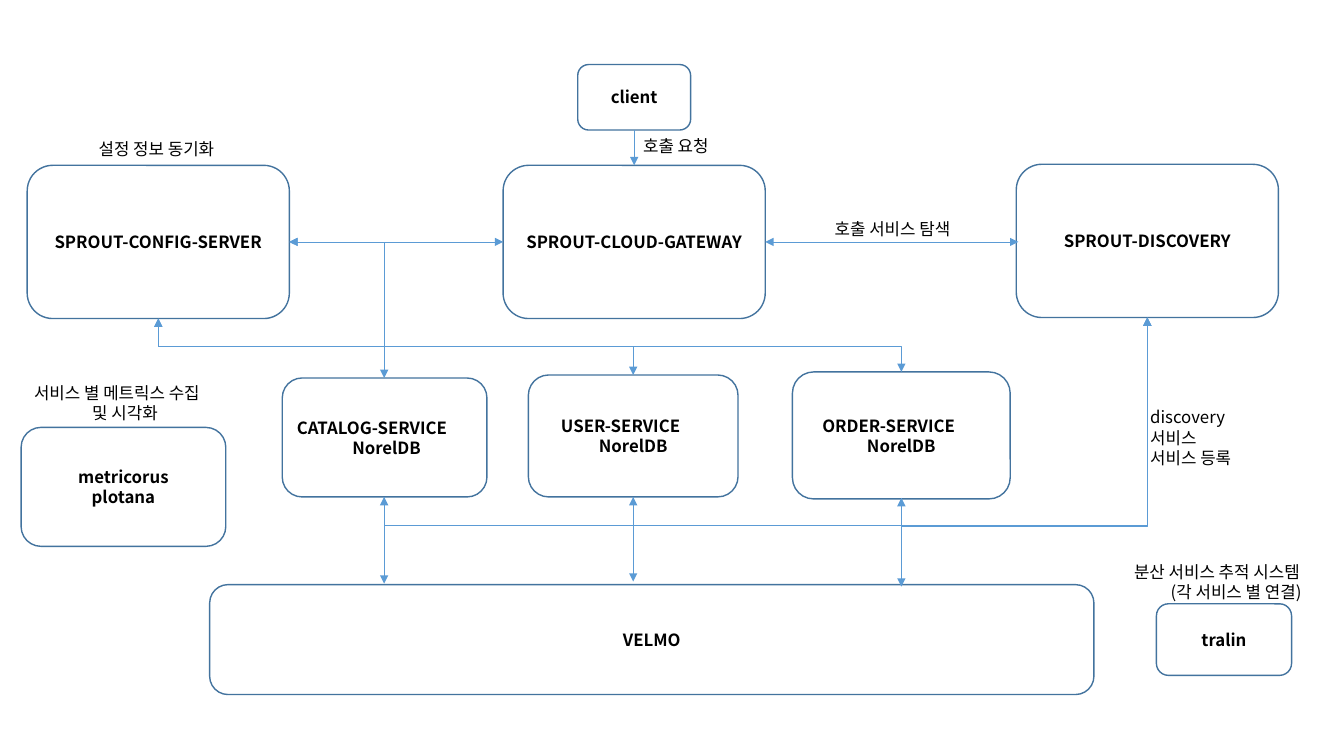
from lxml.etree import SubElement
from pptx import Presentation
from pptx.dml.color import RGBColor
from pptx.enum.shapes import MSO_CONNECTOR, MSO_SHAPE
from pptx.enum.text import MSO_ANCHOR, PP_ALIGN
from pptx.oxml.ns import qn
from pptx.util import Inches, Pt

COLORS = {"fill": "FFFFFF", "border": "43739E", "arrow": "5B9BD5", "text": "000000"}
FONT = "Noto Sans CJK KR"

presentation = Presentation()
presentation.slide_width = Inches(13.33)
presentation.slide_height = Inches(7.5)
slide = presentation.slides.add_slide(presentation.slide_layouts[6])


def write(shape, lines, bold=False, align=PP_ALIGN.LEFT, anchor=MSO_ANCHOR.TOP,
          insets=(0.1, 0.1), last_indent=0):
    """Fill a shape with one paragraph per line; last_indent moves the last line right."""
    frame = shape.text_frame
    frame.word_wrap = True
    frame.vertical_anchor = anchor
    frame.margin_left, frame.margin_right = map(Inches, insets)
    frame.margin_top = frame.margin_bottom = Inches(0.05)
    for number, line in enumerate(lines):
        paragraph = frame.add_paragraph() if number else frame.paragraphs[0]
        paragraph.alignment = align
        run = paragraph.add_run()
        run.text = line
        run.font.size = Pt(12)
        run.font.bold = bold
        run.font.name = FONT
        run.font.color.rgb = RGBColor.from_string(COLORS["text"])
        SubElement(run.font._element, qn("a:ea"), typeface=FONT)
    if last_indent:
        properties = paragraph._p.get_or_add_pPr()
        properties.set("marL", str(Inches(last_indent)))
        properties.set("indent", "0")


def connect(start, end, bend=None, corner=False, both=True):
    """Draw an arrow; bend is the height of the crossbar, corner turns once."""
    (x1, y1), (x2, y2) = start, end
    kind = MSO_CONNECTOR.ELBOW if corner or bend else MSO_CONNECTOR.STRAIGHT
    if bend:
        # The frame of a vertical elbow is a horizontal one turned by 90 degrees.
        middle_x, middle_y = (x1 + x2) / 2, (y1 + y2) / 2
        half_x, half_y = (x2 - x1) / 2, (y2 - y1) / 2
        ends = (middle_x - half_y, middle_y + half_x, middle_x + half_y, middle_y - half_x)
    else:
        ends = (x1, y1, x2, y2)
    connector = slide.shapes.add_connector(kind, *map(Inches, ends))
    properties = connector._element.spPr
    geometry = properties.find(qn("a:prstGeom"))
    if bend:
        properties.find(qn("a:xfrm")).set("rot", "5400000")
        ratio = round((bend - y1) / (y2 - y1) * 100000)
        SubElement(geometry.find(qn("a:avLst")), qn("a:gd"), name="adj1", fmla=f"val {ratio}")
    if corner:
        geometry.set("prst", "bentConnector2")
    connector.line.color.rgb = RGBColor.from_string(COLORS["arrow"])
    connector.line.width = Pt(0.5)
    line = properties.find(qn("a:ln"))
    if both:
        SubElement(line, qn("a:headEnd"), type="triangle")
    SubElement(line, qn("a:tailEnd"), type="triangle")
    SubElement(properties, qn("a:effectLst"))


# Boxes: lines, left, top, width, height, indent of the last line
boxes = [
    (["CATALOG-SERVICE", "NorelDB"], 2.8, 3.75, 2.03, 1.18, 0.29),
    (["USER-SERVICE", "NorelDB"], 5.24, 3.72, 2.08, 1.21, 0.25),
    (["ORDER-SERVICE", "NorelDB"], 7.86, 3.69, 2.16, 1.26, 0.25),
    (["SPROUT-CLOUD-GATEWAY"], 4.99, 1.64, 2.6, 1.52, 0),
    (["SPROUT-DISCOVERY"], 10.08, 1.63, 2.6, 1.52, 0),
    (["SPROUT-CONFIG-SERVER"], 0.27, 1.64, 2.6, 1.52, 0),
    (["client"], 5.73, 0.64, 1.12, 0.65, 0),
    (["VELMO"], 2.08, 5.8, 8.77, 1.09, 0),
    (["metricorus", "plotana"], 0.21, 4.24, 2.03, 1.18, 0),
    (["tralin"], 11.47, 5.99, 1.34, 0.71, 0),
]
for lines, left, top, width, height, indent in boxes:
    box = slide.shapes.add_shape(MSO_SHAPE.ROUNDED_RECTANGLE,
                                 *map(Inches, (left, top, width, height)))
    box.shadow.inherit = False
    box.fill.solid()
    box.fill.fore_color.rgb = RGBColor.from_string(COLORS["fill"])
    box.line.color.rgb = RGBColor.from_string(COLORS["border"])
    box.line.width = Pt(1)
    write(box, lines, bold=True, align=PP_ALIGN.CENTER, anchor=MSO_ANCHOR.MIDDLE,
          insets=(0, 0.25) if indent else (0.1, 0.1), last_indent=indent)

# Arrows between client, gateway, config server and discovery
config_bottom, discovery_bottom = (1.57, 3.16), (11.38, 3.15)
connect((6.29, 1.29), (6.29, 1.64), both=False)
connect((2.87, 2.4), (3.81, 3.75), corner=True)
connect((2.87, 2.4), (4.99, 2.4))
connect((7.59, 2.4), (10.1, 2.4))

# Arrows of each service: centre, top, bottom, top of message queue, discovery crossbar
services = [
    (3.81, 3.75, 4.93, 5.79, 5.21),
    (6.28, 3.72, 4.93, 5.77, 5.21),
    (8.94, 3.69, 4.94, 5.82, 5.22),
]
for center, top, bottom, queue_top, crossbar in services:
    connect((center, bottom), discovery_bottom, bend=crossbar, both=False)
    connect((center, bottom), (center, queue_top))
for center, top, *_ in services[1:]:
    connect(config_bottom, (center, top), bend=3.44)

# Labels: lines, left, top, width, height
labels = [
    (["discovery", "서비스", "서비스 등록"], 11.31, 3.99, 1.46, 0.71),
    (["설정 정보 동기화"], 0.88, 1.33, 1.5, 0.3),
    (["호출 서비스 탐색"], 8.18, 2.12, 2.01, 0.3),
    (["호출 요청"], 6.28, 1.3, 1.21, 0.3),
]
for lines, *bounds in labels:
    write(slide.shapes.add_textbox(*map(Inches, bounds)), lines)

# Centred captions above the monitoring boxes: lines, left, top, indent of the last line
captions = [
    (["서비스 별 메트릭스 수집", "및 시각화"], 0.23, 3.75, 0.16),
    (["분산 서비스 추적 시스템", "(각 서비스 별 연결)"], 11.14, 5.52, 0.38),
]
for lines, left, top, indent in captions:
    caption = slide.shapes.add_textbox(*map(Inches, (left, top, 2.02, 0.51)))
    write(caption, lines, align=PP_ALIGN.CENTER, insets=(0, 0.16), last_indent=indent)

presentation.save("out.pptx")
